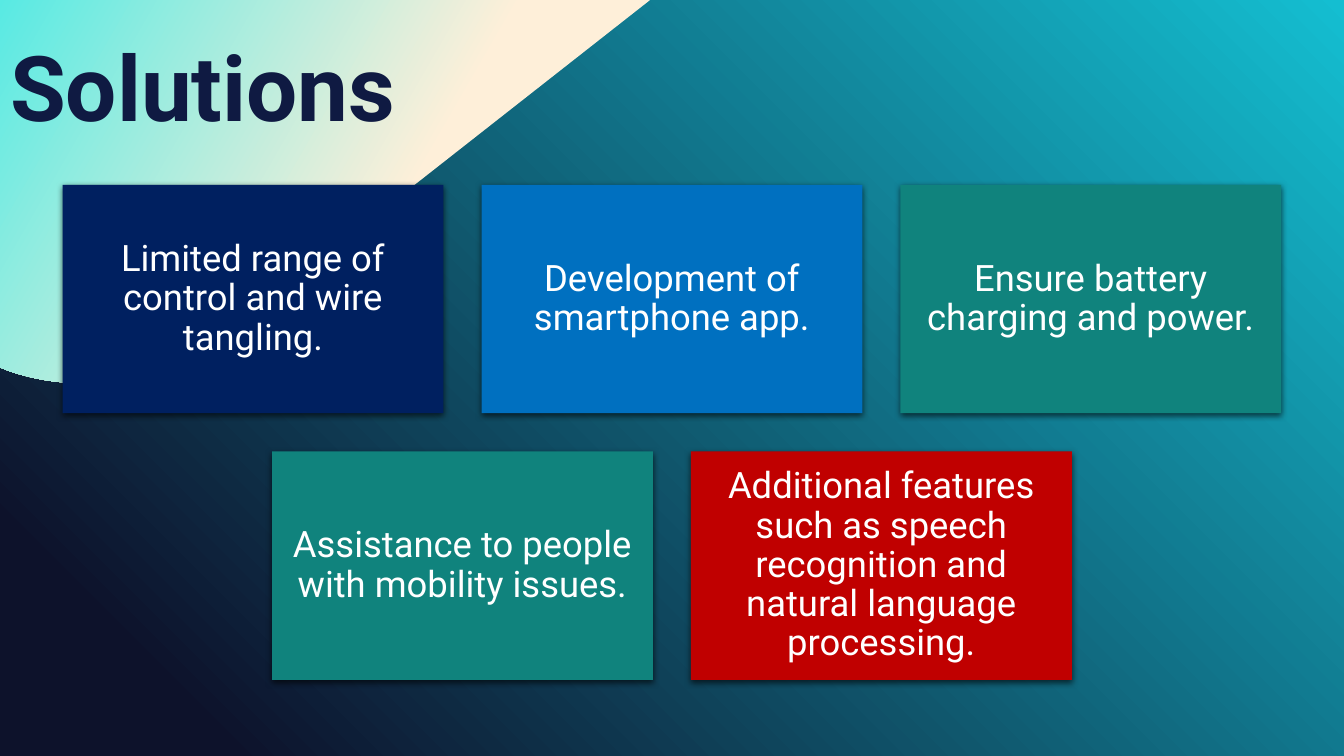
from lxml import etree
from pptx import Presentation
from pptx.dml.color import RGBColor
from pptx.enum import shapes, text
from pptx.oxml.ns import qn
from pptx.util import Pt

COLORS = {
    "night": "0D122B", "cyan": "14BED1", "cream": "FEEFD9", "aqua": "58EAE3",
    "title": "0F1A42", "navy": "002060", "blue": "0070C0", "teal": "10837D",
    "red": "C00000", "white": "FFFFFF", "black": "000000",
}
FONT = "Roboto"


def set_gradient(fill, angle, stops):
    fill.gradient()
    fill.gradient_angle = angle
    for stop, (position, color) in zip(fill.gradient_stops, stops):
        stop.position = position
        stop.color.rgb = RGBColor.from_string(COLORS[color])


def curve(p0, p1, p2, p3, steps=16):
    points = []
    for i in range(1, steps + 1):
        t = i / steps
        weights = ((1 - t) ** 3, 3 * t * (1 - t) ** 2, 3 * t * t * (1 - t), t ** 3)
        points.append(tuple(
            sum(w * p[axis] for w, p in zip(weights, (p0, p1, p2, p3)))
            for axis in (0, 1)))
    return points


prs = Presentation()
prs.slide_width, prs.slide_height = Pt(960), Pt(540)
s = prs.slides.add_slide(prs.slide_layouts[5])
set_gradient(s.background.fill, 45, [(0.11, "night"), (1, "cyan")])

start = (56.9, 273.6)
outline = curve(start, (40.3, 273.6), (23, 270.7), (6.5, 265))
outline += [(-0.7, 262.1), (-0.7, 0), (464.4, 0), (156.2, 241.9), (152.6, 244.8)]
outline += curve((152.6, 244.8), (126.7, 262.8), (96.5, 272.9), (66.2, 273.6))
builder = s.shapes.build_freeform(Pt(start[0]), Pt(start[1]))
builder.add_line_segments([(Pt(x), Pt(y)) for x, y in outline], close=True)
corner = builder.convert_to_shape()
corner.shadow.inherit = False
corner.line.fill.background()
set_gradient(corner.fill, 150, [(0.4, "cream"), (1, "aqua")])

title = s.shapes.title
s.shapes._spTree.append(title._element)
title.left, title.top, title.width, title.height = Pt(0), Pt(23.8), Pt(465), Pt(83.5)
tf = title.text_frame
tf.text = "Solutions"
tf.auto_size = text.MSO_AUTO_SIZE.NONE
tf.vertical_anchor = text.MSO_ANCHOR.MIDDLE
p = tf.paragraphs[0]
p.alignment = text.PP_ALIGN.LEFT
p.line_spacing = 0.9
r = p.runs[0]
r.font.name, r.font.size, r.font.bold = FONT, Pt(64.8), True
r.font.color.rgb = RGBColor.from_string(COLORS["title"])

rows = [
    [("Limited range of control and wire tangling.", "navy"),
     ("Development of smartphone app.", "blue"),
     ("Ensure battery charging and power.", "teal")],
    [("Assistance to people with mobility issues.", "teal"),
     ("Additional features such as speech recognition and natural language processing.",
      "red")],
]
card_w, card_h, gap, top = 272, 163.2, 27.2, 132

for row, cards in enumerate(rows):
    left = (960 - len(cards) * card_w - (len(cards) - 1) * gap) / 2
    for col, (label, color) in enumerate(cards):
        sp = s.shapes.add_shape(
            shapes.MSO_SHAPE.RECTANGLE,
            Pt(left + col * (card_w + gap)), Pt(top + row * (card_h + gap)),
            Pt(card_w), Pt(card_h))
        sp.fill.solid()
        sp.fill.fore_color.rgb = RGBColor.from_string(COLORS[color])
        sp.line.fill.background()
        sp.shadow.inherit = False
        effects = sp._element.spPr.find(qn("a:effectLst"))
        shadow = etree.SubElement(
            effects, qn("a:outerShdw"), blurRad=str(Pt(4.5)), dist=str(Pt(1.5)),
            dir="5400000", algn="ctr", rotWithShape="0")
        tint = etree.SubElement(shadow, qn("a:srgbClr"), val=COLORS["black"])
        etree.SubElement(tint, qn("a:alpha"), val="63000")

        tf = sp.text_frame
        tf.text = label
        tf.word_wrap = True
        tf.vertical_anchor = text.MSO_ANCHOR.MIDDLE
        tf.margin_left = tf.margin_right = tf.margin_top = tf.margin_bottom = Pt(7.8)
        p = tf.paragraphs[0]
        p.alignment = text.PP_ALIGN.CENTER
        p.line_spacing = 0.9
        r = p.runs[0]
        r.font.name, r.font.size = FONT, Pt(26)
        r.font.color.rgb = RGBColor.from_string(COLORS["white"])

prs.save("out.pptx")
